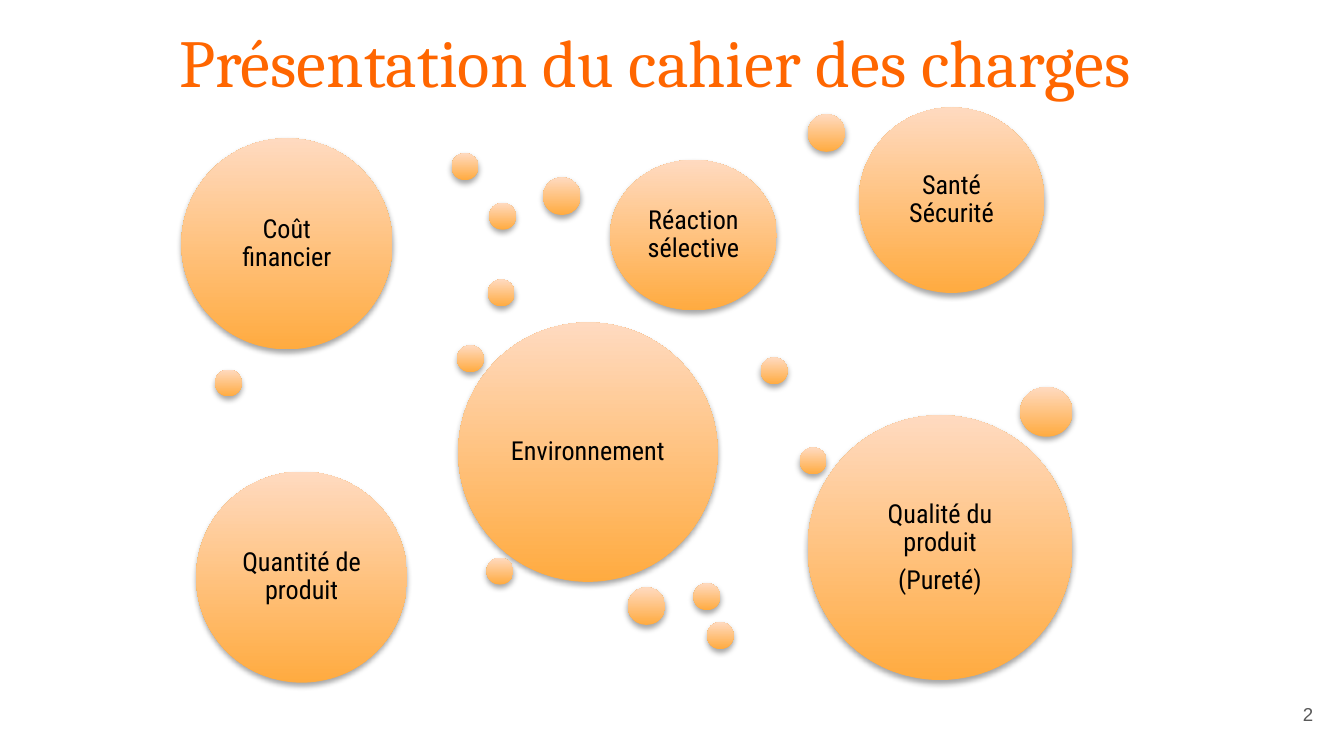
from lxml import etree
from pptx import Presentation, util as u
from pptx.dml.color import RGBColor
from pptx.enum import shapes, text
from pptx.oxml.ns import qn

PAGE_WIDTH = 10
PAGE_HEIGHT = PAGE_WIDTH * 9 / 16
BUBBLES = [  # left, top, width, height, paragraphs
    (3.41, 2.4, 1.93, 1.93, ["Environnement"]),
    (4.54, 1.19, 1.24, 1.12, ["Réaction sélective"]),
    (6.39, 0.8, 1.38, 1.38, ["Santé Sécurité"]),
    (6.01, 3.09, 1.97, 1.97, ["Qualité du produit", "(Pureté)"]),
    (1.46, 3.51, 1.57, 1.57, ["Quantité de produit"]),
    (1.35, 1.03, 1.57, 1.57, ["Coût financier"]),
]
DOTS = {  # diameter: left and top of each dot
    0.2: [(3.36, 1.14), (5.66, 2.66), (3.4, 2.57), (1.6, 2.75), (3.63, 2.08), (3.62, 4.15),
          (5.26, 4.63), (5.95, 3.33), (5.16, 4.34), (3.64, 1.51)],
    0.28: [(4.67, 4.37), (4.04, 1.32), (6.01, 0.85)],
}
TITLE_FONT = {"name": "Cambria", "size": u.Pt(36)}
LABEL_FONT = {"name": "Roboto Condensed", "size": u.Pt(14)}
NUMBER_FONT = {"name": "Arial", "size": u.Pt(10)}
LABEL_SPACING = {"line_spacing": 0.9, "space_after": u.Pt(5)}


def rgb(value):
    return RGBColor.from_string(value)


def set_all(target, values):
    for name, value in values.items():
        setattr(target, name, value)


def place(shape, left, top, width, height):
    set_all(shape, {"left": u.Inches(left), "top": u.Inches(top),
                    "width": u.Inches(width), "height": u.Inches(height)})


def write(shape, lines, font, color, inset=0.1, align=text.PP_ALIGN.CENTER, spacing=None):
    frame = shape.text_frame
    margin = u.Inches(inset)
    set_all(frame, {"word_wrap": True, "auto_size": text.MSO_AUTO_SIZE.NONE,
                    "vertical_anchor": text.MSO_ANCHOR.MIDDLE,
                    "margin_left": margin, "margin_right": margin,
                    "margin_top": margin, "margin_bottom": margin})
    for index, line in enumerate(lines):
        para = frame.add_paragraph() if index else frame.paragraphs[0]
        set_all(para, {"alignment": align, **(spacing or {})})
        span = para.add_run()
        span.text = line
        set_all(span.font, font)
        span.font.color.rgb = rgb(color)


def add_shadow(shape):
    """Give the shape a soft shadow falling straight down."""
    shape.shadow.inherit = False
    effects = shape._element.spPr.find(qn("a:effectLst"))
    shadow = etree.SubElement(effects, qn("a:outerShdw"), blurRad=str(u.Pt(3.1)),
                              dist=str(u.Pt(1.8)), dir="5400000", rotWithShape="0")
    color = etree.SubElement(shadow, qn("a:srgbClr"), val="000000")
    etree.SubElement(color, qn("a:alpha"), val="35000")


def add_bubble(page, left, top, width, height, lines=()):
    bubble = page.shapes.add_shape(shapes.MSO_SHAPE.OVAL, 0, 0, 0, 0)
    place(bubble, left, top, width, height)
    bubble.fill.gradient()
    bubble.fill.gradient_angle = 90
    for stop, color in zip(bubble.fill.gradient_stops, ("FFAB40", "FFDAC0")):
        stop.color.rgb = rgb(color)
    bubble.line.fill.background()
    add_shadow(bubble)
    write(bubble, lines, LABEL_FONT, "000000", inset=0.06, spacing=LABEL_SPACING)


def add_title(page, wording):
    title = page.shapes.title
    place(title, 0.27, -0.01, 9.32, 0.92)
    write(title, [wording], TITLE_FONT, "FF6600")


def add_page_number(page, number):
    box = page.shapes.add_textbox(0, 0, 0, 0)
    place(box, 9.27, 5.1, 0.6, 0.43)
    write(box, [number], NUMBER_FONT, "595959", align=text.PP_ALIGN.RIGHT)


def main():
    deck = Presentation()
    set_all(deck, {"slide_width": u.Inches(PAGE_WIDTH), "slide_height": u.Inches(PAGE_HEIGHT)})
    page = deck.slides.add_slide(deck.slide_layouts[5])
    add_title(page, "Présentation du cahier des charges ")
    add_page_number(page, "2")
    for bubble in BUBBLES:
        add_bubble(page, *bubble)
    for diameter, spots in DOTS.items():
        for left, top in spots:
            add_bubble(page, left, top, diameter, diameter)
    add_bubble(page, 7.59, 2.88, 0.39, 0.37)
    deck.save("out.pptx")


if __name__ == "__main__":
    main()
